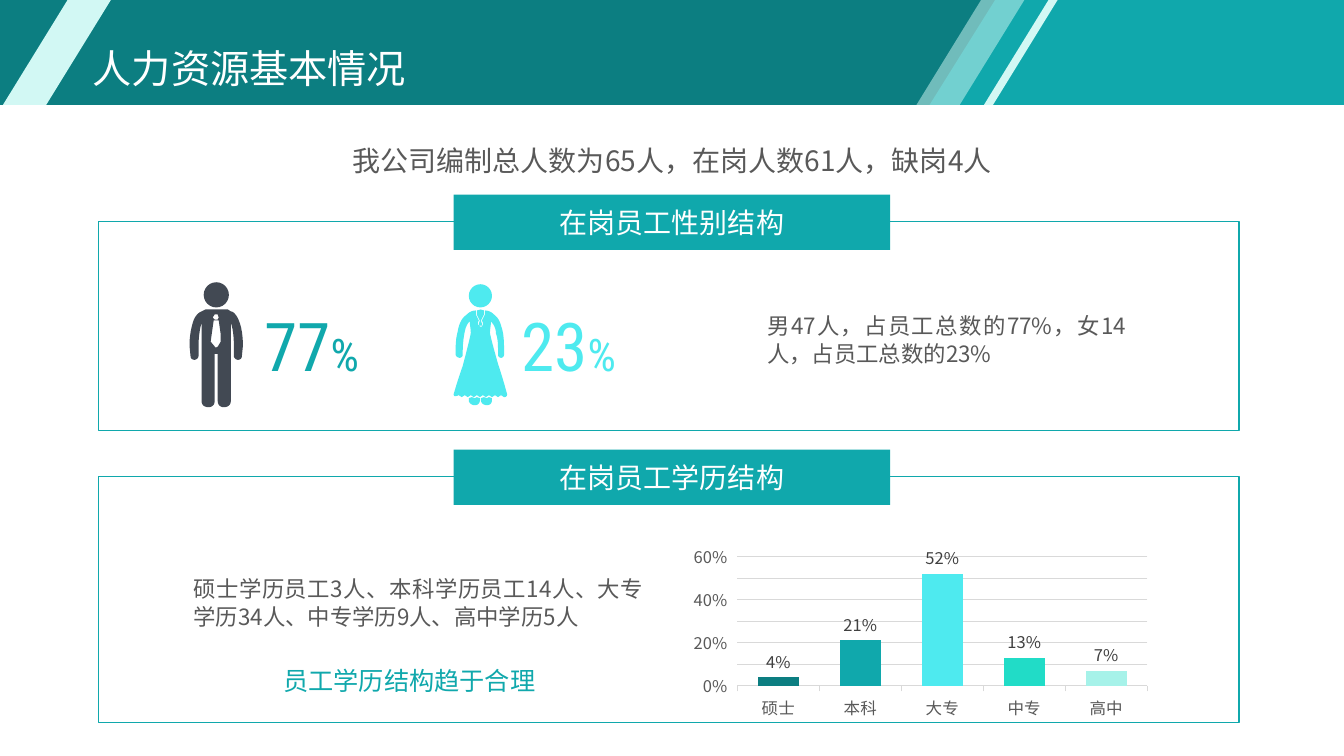
from lxml import etree
from pptx import Presentation
from pptx.chart.data import CategoryChartData
from pptx.dml.color import RGBColor
from pptx.enum.chart import XL_CHART_TYPE, XL_LABEL_POSITION, XL_TICK_MARK
from pptx.enum.shapes import MSO_SHAPE
from pptx.enum.text import MSO_ANCHOR, PP_ALIGN
from pptx.oxml import parse_xml
from pptx.oxml.ns import nsdecls, qn
from pptx.util import Pt

PX = 9144
RECT, OVAL, SLANT = MSO_SHAPE.RECTANGLE, MSO_SHAPE.OVAL, MSO_SHAPE.PARALLELOGRAM
LEFT, CENTER, RIGHT, JUSTIFY = PP_ALIGN.LEFT, PP_ALIGN.CENTER, PP_ALIGN.RIGHT, PP_ALIGN.JUSTIFY
TOP, MIDDLE = MSO_ANCHOR.TOP, MSO_ANCHOR.MIDDLE
COLUMN = XL_CHART_TYPE.COLUMN_CLUSTERED
OUTSIDE_END = XL_LABEL_POSITION.OUTSIDE_END
TICK_OUT = XL_TICK_MARK.OUTSIDE
CJK, NUMERIC = "Noto Sans CJK SC", "Roboto Condensed"
COLORS = {
    "deep": "0C7E81", "teal": "10A8AC", "mint": "D2F8F4", "cyan": "4EEAEF",
    "green": "21DCC7", "pale": "A6F2E9", "slate": "424953", "text": "595959",
    "label": "404040", "grid": "D9D9D9", "white": "FFFFFF",
}

MAN = [
    [(193, 357), (195, 357, 197, 355, 197, 353), (197, 343), (197, 331, 199, 324, 200, 320),
     (200, 398), (200, 402, 203, 404, 207, 404), (210, 404, 213, 402, 213, 398),
     (213, 351), (216, 351), (216, 398), (216, 402, 219, 404, 222, 404),
     (226, 404, 229, 402, 229, 398), (229, 320), (231, 326, 232, 333, 232, 343),
     (232, 353), (232, 355, 234, 357, 236, 357), (238, 357, 240, 356, 240, 353),
     (241, 343), (241, 328, 238, 319, 235, 314), (233, 311, 231, 309, 229, 309),
     (226, 307), (204, 307), (200, 309), (197, 310, 194, 313, 192, 318),
     (190, 324, 188, 332, 188, 343), (189, 353), (189, 356, 191, 357, 193, 357)],
    [(214, 345), (209, 339), (210, 332), (212, 318), (217, 318), (219, 332), (219, 339), (216, 344)],
    [(213, 312), (216, 312), (217, 315), (216, 317), (213, 317), (211, 315)],
]
HEM = [(500 - 3 * i, 394 - 2 * (i % 2)) for i in range(16)]
DRESS = [
    (472, 308), (472, 312), (473, 314), (475, 318), (474, 320), (474, 322), (476, 324),
    (478, 324), (479, 322), (479, 320), (478, 318), (480, 314), (481, 312), (481, 308),
    (485, 308, 488, 310, 490, 312), (494, 315, 496, 319, 497, 323),
    (500, 331, 500, 341, 500, 348), (500, 352), (500, 353, 499, 355, 497, 355),
    (495, 355, 494, 353, 494, 352), (494, 348), (494, 343, 494, 336, 492, 331),
    (492, 326, 490, 322, 487, 319), (487, 322, 486, 327, 486, 330),
    (486, 332, 490, 347, 494, 361), (499, 376, 503, 391, 503, 391),
    (503, 393, 502, 394, 500, 394), *HEM, (451, 394, 450, 393, 450, 391),
    (450, 391, 454, 377, 459, 363), (463, 348, 467, 332, 467, 330),
    (467, 327, 466, 322, 466, 319), (464, 320, 463, 323, 462, 325),
    (460, 332, 459, 341, 459, 348), (459, 352), (459, 353, 458, 355, 456, 355),
    (454, 355, 452, 353, 452, 352), (452, 348), (452, 343, 452, 336, 454, 329),
    (455, 323, 457, 316, 463, 312), (465, 310, 468, 308, 472, 308),
]
NECK = [(477, 307), (480, 308), (480, 312), (479, 314), (477, 318), (478, 321), (478, 323),
        (475, 323), (475, 321), (476, 318), (474, 314), (473, 312), (473, 308)]
FEET = [[(x, 395), (x + 3, 394), (x + 6, 395), (x + 8, 394), (x + 11, 395), (x + 11, 397),
         (x + 11, 400, x + 9, 402, x + 6, 402), (x + 3, 402, x, 400, x, 397)]
        for x in (477, 465)]
WOMAN = [DRESS, NECK, *FEET]


def flatten(contour, steps=6):
    """Turn a contour of points and cubic segments into plain EMU points."""
    points = [contour[0]]
    for seg in contour[1:]:
        if len(seg) == 2:
            points.append(seg)
            continue
        x0, y0 = points[-1]
        x1, y1, x2, y2, x3, y3 = seg
        for i in range(1, steps + 1):
            t = i / steps
            a, b, c, d = (1 - t) ** 3, 3 * t * (1 - t) ** 2, 3 * t * t * (1 - t), t ** 3
            points.append((a * x0 + b * x1 + c * x2 + d * x3, a * y0 + b * y1 + c * y2 + d * y3))
    return [(x * PX, y * PX) for x, y in points]


class Deck:
    """Holds the style and the current slide."""

    def __init__(self, width, height):
        self.prs = Presentation()
        self.prs.slide_width, self.prs.slide_height = width * PX, height * PX
        self.slide = self.prs.slides.add_slide(self.prs.slide_layouts[6])
        self.shapes = self.slide.shapes

    def color(self, name):
        return RGBColor.from_string(COLORS[name])

    def paint(self, sp, fill=None, line=None):
        sp.shadow.inherit = False
        if fill:
            sp.fill.solid()
            sp.fill.fore_color.rgb = self.color(fill)
        else:
            sp.fill.background()
        if line:
            sp.line.color.rgb = self.color(line)
            sp.line.width = Pt(1)
        else:
            sp.line.fill.background()
        return sp

    def shape(self, kind, box, fill=None, line=None):
        return self.paint(self.shapes.add_shape(kind, *(v * PX for v in box)), fill, line)

    def slant(self, box, alpha=None):
        sp = self.shape(SLANT, box, "mint")
        sp.adjustments[0] = 0.616
        if alpha:
            clr = sp.fill._xPr.find(qn("a:solidFill"))[0]
            etree.SubElement(clr, qn("a:alpha"), val=str(alpha * 1000))

    def outline(self, contours, fill):
        first, *rest = [flatten(c) for c in contours]
        builder = self.shapes.build_freeform(*first[0], scale=1.0)
        builder.add_line_segments(first[1:])
        for points in rest:
            builder.move_to(*points[0])
            builder.add_line_segments(points[1:])
        self.paint(builder.convert_to_shape(), fill)

    def fill_text(self, sp, runs, color, align=LEFT, anchor=TOP, font=CJK, spacing=None, wrap=True):
        tf = sp.text_frame
        tf.margin_left = tf.margin_top = tf.margin_right = tf.margin_bottom = 0
        tf.word_wrap, tf.vertical_anchor = wrap, anchor
        p = tf.paragraphs[0]
        p.alignment = align
        p.line_spacing = spacing
        for text, size in runs:
            r = p.add_run()
            r.text = text
            r.font.size, r.font.name = Pt(size), font
            r.font.color.rgb = self.color(color)

    def text(self, box, runs, color, **style):
        self.fill_text(self.shapes.add_textbox(*(v * PX for v in box)), runs, color, **style)

    def panel(self, top, height, heading):
        self.shape(RECT, (98, top, 1131, height), line="teal")
        tab = self.shape(RECT, (450, top - 27, 433, 55), "teal")
        self.fill_text(tab, [(heading, 20)], "white", align=CENTER, anchor=MIDDLE)

    def style_font(self, font, color):
        font.size, font.name = Pt(11.9), CJK
        font.color.rgb = self.color(color)

    def column_chart(self, box, values, colors, layout):
        data = CategoryChartData(number_format="0%")
        data.categories = list(values)
        data.add_series("Series 1", list(values.values()))
        chart = self.shapes.add_chart(COLUMN, *(v * PX for v in box), data).chart
        chart.has_legend = chart.has_title = False
        self.style_font(chart.font, "text")
        cat, val = chart.category_axis, chart.value_axis
        for axis in (cat, val):
            axis.major_tick_mark = TICK_OUT
            self.style_font(axis.tick_labels.font, "text")
        val.minimum_scale, val.maximum_scale, val.major_unit = 0, 0.6, 0.1
        val.tick_labels.number_format = "0%"
        val.tick_labels.number_format_is_linked = False
        val.format.line.fill.background()
        for line in (cat.format.line, val.major_gridlines.format.line):
            line.color.rgb = self.color("grid")
            line.width = Pt(0.75)
        plot = chart.plots[0]
        plot.gap_width, plot.vary_by_categories = 100, False
        plot.has_data_labels = True
        labels = plot.data_labels
        labels.show_value, labels.position = True, OUTSIDE_END
        labels.number_format, labels.number_format_is_linked = "0%", False
        self.style_font(labels.font, "label")
        for i, name in enumerate(colors):
            fill = plot.series[0].points[i].format.fill
            fill.solid()
            fill.fore_color.rgb = self.color(name)
        area = chart._chartSpace.find(".//" + qn("c:plotArea"))
        for old in area.findall(qn("c:layout")):
            area.remove(old)
        sizes = "".join(f'<c:{k} val="{v}"/>' for k, v in zip("xywh", layout))
        area.insert(0, parse_xml(
            f'<c:layout {nsdecls("c")}><c:manualLayout><c:layoutTarget val="inner"/>'
            f'<c:xMode val="edge"/><c:yMode val="edge"/>{sizes}</c:manualLayout></c:layout>'))
        self.set_east_asian(chart._chartSpace)

    def set_east_asian(self, root):
        for latin in list(root.iter(qn("a:latin"))):
            latin.addnext(etree.Element(qn("a:ea"), typeface=latin.get("typeface")))

    def save(self):
        self.set_east_asian(self.slide._element)
        self.prs.save("out.pptx")


def main():
    deck = Deck(1333, 750)
    deck.shape(RECT, (0, 0, 1333, 104), "deep")
    deck.outline([[(987, 0), (1333, 0), (1333, 104), (922, 104)]], "teal")
    deck.slant((3, 0, 107, 104))
    deck.slant((909, 0, 107, 104), alpha=51)
    deck.outline([[(1040, 0), (1049, 0), (985, 104), (976, 104)]], "mint")
    deck.text((92, 33, 888, 75), [("人力资源基本情况", 28)], "white", anchor=MIDDLE, spacing=0.9)
    deck.text((284, 142, 765, 34), [("我公司编制总人数为65人，在岗人数61人，缺岗4人", 20)],
              "text", align=CENTER, anchor=MIDDLE)

    deck.panel(220, 207, "在岗员工性别结构")
    deck.shape(OVAL, (202, 280, 25, 25), "slate")
    deck.outline(MAN, "slate")
    deck.shape(OVAL, (465, 282, 23, 23), "cyan")
    deck.outline(WOMAN, "cyan")
    for left, share, color in ((255, "77", "teal"), (510, "23", "cyan")):
        deck.text((left, 312, 108, 60), [(share, 48), ("%", 32)], color,
                  align=CENTER, anchor=MIDDLE, font=NUMERIC)
    deck.text((761, 309, 356, 56), [("男47人，占员工总数的77%，女14人，占员工总数的23%", 16)],
              "text", align=JUSTIFY, spacing=Pt(20))

    deck.panel(473, 244, "在岗员工学历结构")
    deck.text((192, 569, 446, 56),
              [("硕士学历员工3人、本科学历员工14人、大专学历34人、中专学历9人、高中学历5人", 16)],
              "text", align=JUSTIFY, spacing=Pt(20))
    deck.text((279, 660, 252, 30), [("员工学历结构趋于合理", 18)], "teal", align=RIGHT, wrap=False)
    deck.column_chart((688, 533, 494, 181),
                      {"硕士": 0.04, "本科": 0.21, "大专": 0.52, "中专": 0.13, "高中": 0.07},
                      ("deep", "teal", "cyan", "green", "pale"), (0.08, 0.11, 0.83, 0.73))
    deck.save()


if __name__ == "__main__":
    main()
